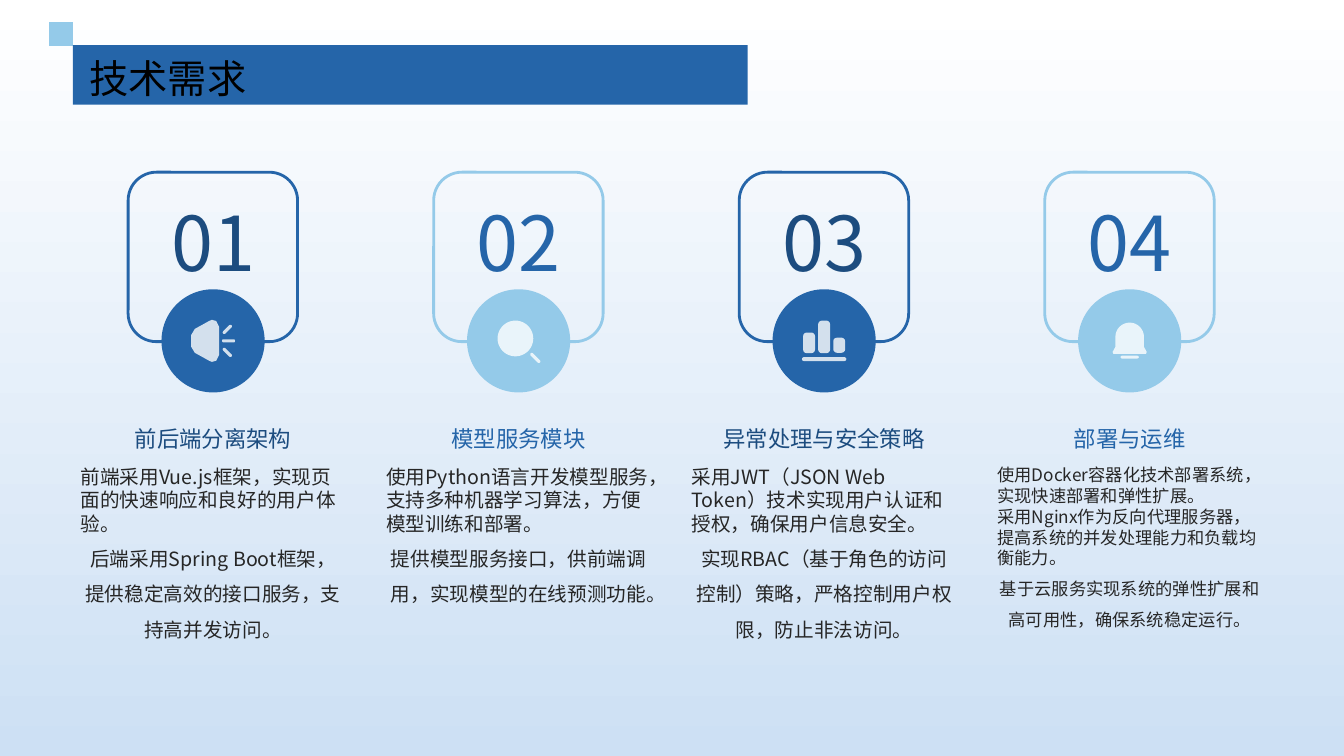
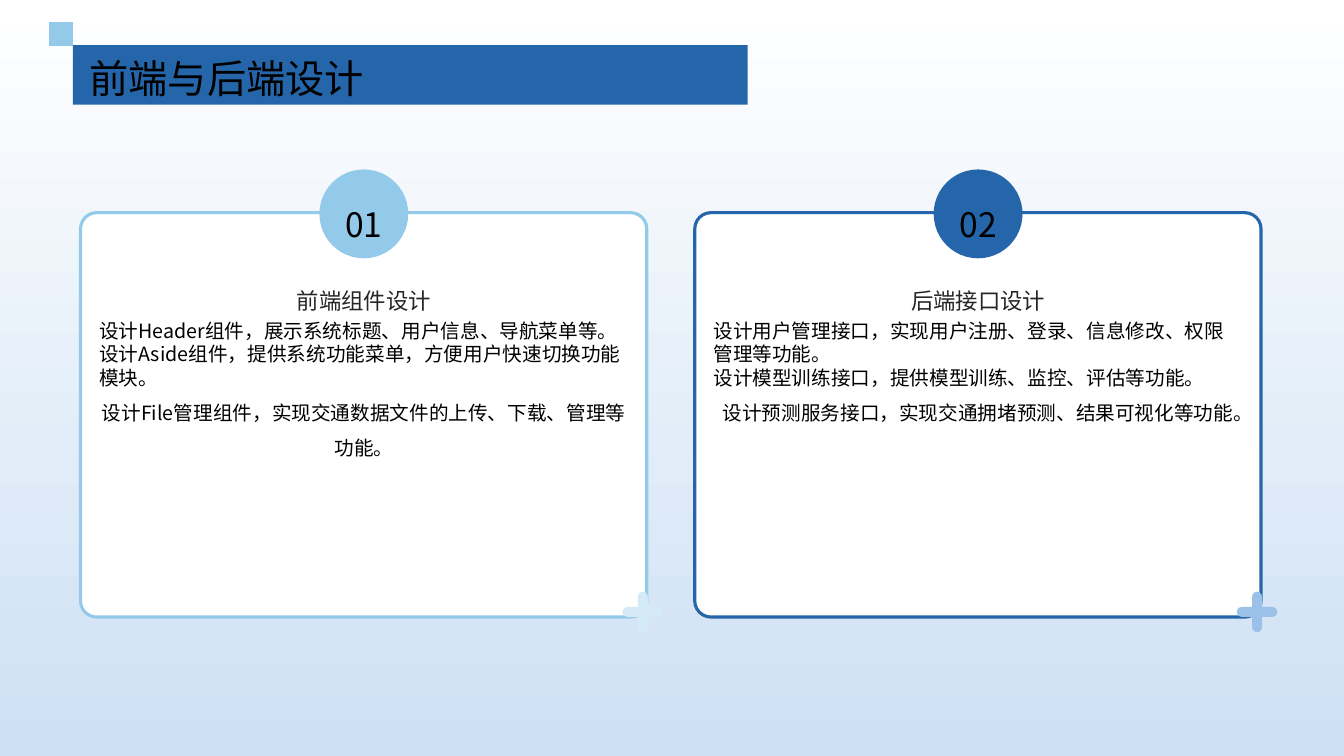
from dataclasses import dataclass
from math import cos, pi, sin

from lxml.etree import SubElement as Sub
from pptx import Presentation as Deck
from pptx.dml.color import RGBColor as Rgb
from pptx.enum.shapes import MSO_SHAPE as Kind
from pptx.enum.text import MSO_ANCHOR as Anchor, MSO_AUTO_SIZE as Fit, PP_ALIGN as Align
from pptx.oxml.ns import qn
from pptx.util import Cm, Pt


@dataclass(frozen=True)
class Theme:
    font: str = "Noto Sans CJK SC"
    lead: float = 1.2
    blue: str = "2565A9"
    sky: str = "94CAE9"
    navy: str = "1C4C7F"
    mist: str = "9BC1E9"
    ice: str = "D4EAF6"
    pale: str = "CDE0F4"
    white: str = "FFFFFF"
    black: str = "000000"
    ink: str = "262626"
    title: float = 28
    huge: float = 54
    mark: float = 24
    head: float = 16
    body: float = 14
    small: float = 12.3


class Page:
    """Holds the theme and the current slide, and draws elements on it."""

    def __init__(self, deck, theme):
        self.deck, self.look = deck, theme
        fill = deck.slide_master.background.fill
        fill.gradient()
        fill.gradient_angle = 270
        for stop, tone in zip(fill.gradient_stops, (theme.white, theme.pale)):
            stop.color.rgb = Rgb.from_string(tone)

    def start(self, title):
        look = self.look
        self.slide = self.deck.slides.add_slide(self.deck.slide_layouts[4])
        self.free = list(self.slide.placeholders)
        self.shape(Kind.RECTANGLE, 1.24, 0.56, 0.6, 0.6, look.sky)
        self.shape(Kind.RECTANGLE, 1.84, 1.14, 17, 1.5, look.blue)
        box = self.hold(2.26, 1.25, 29.72, 1.3)
        self.label(box, [title], look.title, look.black, 1.1, Align.LEFT, Anchor.MIDDLE)

    def hold(self, x, y, w, h):
        box = self.free.pop(0)
        box.left, box.top, box.width, box.height = map(Cm, (x, y, w, h))
        box.element.getparent().append(box.element)
        return box

    def box(self, x, y, w, h):
        return self.slide.shapes.add_textbox(*map(Cm, (x, y, w, h)))

    def paint(self, item, fill=None, line=None, width=2, alpha=None):
        item.shadow.inherit = False
        if line:
            item.line.color.rgb = Rgb.from_string(line)
            item.line.width = Pt(width)
        else:
            item.line.fill.background()
        if fill:
            item.fill.solid()
            item.fill.fore_color.rgb = Rgb.from_string(fill)
        else:
            item.fill.background()
        if alpha:
            tone = item.element.spPr.find(qn("a:solidFill"))[0]
            Sub(tone, qn("a:alpha"), val=str(alpha * 1000))

    def shape(self, kind, x, y, w, h, fill=None, line=None, width=2, alpha=None, adj=None, turn=0):
        item = self.slide.shapes.add_shape(kind, *map(Cm, (x, y, w, h)))
        if adj is not None:
            item.adjustments[0] = adj
        item.rotation = turn
        self.paint(item, fill, line, width, alpha)
        return item

    def bar(self, x, y, w, h, fill, alpha=None, adj=0.5, turn=0):
        return self.shape(Kind.ROUNDED_RECTANGLE, x - w / 2, y - h / 2, w, h,
                          fill, alpha=alpha, adj=adj, turn=turn)

    def icon(self, x, y, edge, bars):
        tone = self.look.white
        if edge:
            dots = [(Cm(x + a), Cm(y + b)) for a, b in edge]
            pen = self.slide.shapes.build_freeform(*dots[0])
            pen.add_line_segments(dots[1:])
            self.paint(pen.convert_to_shape(), tone, alpha=80)
        for a, b, w, h, adj, turn in bars:
            self.bar(x + a, y + b, w, h, tone, 80, adj, turn)

    def plus(self, x, y, tone):
        for w, h in ((1.02, 0.25), (0.25, 1.02)):
            self.bar(x, y, w, h, tone)

    def label(self, box, lines, size, tone, space, align=Align.CENTER, anchor=Anchor.TOP):
        frame = box.text_frame
        frame.text = "\n".join(lines)
        frame.word_wrap = True
        frame.auto_size = Fit.NONE
        frame.vertical_anchor = anchor
        frame.margin_left = frame.margin_top = frame.margin_right = frame.margin_bottom = 0
        for para in frame.paragraphs:
            prop = para._p.get_or_add_pPr()
            prop.set("marL", "0")
            prop.set("indent", "0")
            Sub(prop, qn("a:buNone"))
            para.alignment = align
            para.space_before = para.space_after = Pt(0)
            para.line_spacing = Pt(round(size * self.look.lead * space, 1))
            font = para.font
            font.name, font.size, font.bold = self.look.font, Pt(size), False
            font.color.rgb = Rgb.from_string(tone)
            Sub(prop.find(qn("a:defRPr")), qn("a:ea"), typeface=self.look.font)

    def prose(self, box, lines, size, tone):
        self.label(box, lines, size, tone, 1.5)
        for para in box.text_frame.paragraphs[:-1]:
            para.alignment = Align.LEFT
            para.line_spacing = Pt(round(size * self.look.lead, 1))


HORN = [(-0.03, -0.53), (0.08, -0.5), (0.15, -0.36), (0.15, 0.36), (0.08, 0.5), (-0.03, 0.53),
        (-0.1, 0.5), (-0.46, 0.3), (-0.55, 0.15), (-0.55, -0.15), (-0.46, -0.3), (-0.1, -0.5),
        (-0.03, -0.53)]
LENS = [(0.45 * cos(pi * k / 24) - 0.08, 0.45 * sin(pi * k / 24) - 0.06) for k in range(49)]
DOME = [(-0.36 * cos(pi * k / 16), -0.1 - 0.36 * sin(pi * k / 16)) for k in range(17)]
BELL = DOME + [(0.36, 0.15), (0.43, 0.28), (0.41, 0.33), (-0.41, 0.33), (-0.43, 0.28),
               (-0.36, 0.15), DOME[0]]
ICONS = [
    (HORN, [(0.39, 0, 0.33, 0.08, 0.5, 0), (0.36, -0.29, 0.3, 0.08, 0.5, -45),
            (0.36, 0.29, 0.3, 0.08, 0.5, 45)]),
    (LENS, [(0.42, 0.43, 0.33, 0.08, 0.5, 45)]),
    (None, [(0, 0.46, 1.12, 0.1, 0.5, 0), (-0.38, 0.05, 0.3, 0.52, 0.3, 0),
            (0, -0.1, 0.3, 0.82, 0.3, 0), (0.38, 0.11, 0.3, 0.38, 0.3, 0)]),
    (BELL, [(0, 0.41, 0.46, 0.07, 0.5, 0)]),
]
NEEDS = [
    ("前后端分离架构", ["前端采用Vue.js框架，实现页面的快速响应和良好的用户体验。",
                 "后端采用Spring Boot框架，提供稳定高效的接口服务，支持高并发访问。"]),
    ("模型服务模块", ["使用Python语言开发模型服务，支持多种机器学习算法，方便模型训练和部署。",
                "提供模型服务接口，供前端调用，实现模型的在线预测功能。"]),
    ("异常处理与安全策略", ["采用JWT（JSON Web Token）技术实现用户认证和授权，确保用户信息安全。",
                   "实现RBAC（基于角色的访问控制）策略，严格控制用户权限，防止非法访问。"]),
    ("部署与运维", ["使用Docker容器化技术部署系统，实现快速部署和弹性扩展。",
               "采用Nginx作为反向代理服务器，提高系统的并发处理能力和负载均衡能力。",
               "基于云服务实现系统的弹性扩展和高可用性，确保系统稳定运行。"]),
]
PARTS = [
    ("前端组件设计", ["设计Header组件，展示系统标题、用户信息、导航菜单等。",
                "设计Aside组件，提供系统功能菜单，方便用户快速切换功能模块。",
                "设计File管理组件，实现交通数据文件的上传、下载、管理等功能。"]),
    ("后端接口设计", ["设计用户管理接口，实现用户注册、登录、信息修改、权限管理等功能。",
                "设计模型训练接口，提供模型训练、监控、评估等功能。",
                "设计预测服务接口，实现交通拥堵预测、结果可视化等功能。"]),
]


def needs(page):
    look = page.look
    page.start("技术需求")
    for i, ((head, lines), icon) in enumerate(zip(NEEDS, ICONS)):
        x = 2.03 + 7.7 * i
        tone, dark = ((look.blue, look.navy), (look.sky, look.blue))[i % 2]
        page.shape(Kind.ROUNDED_RECTANGLE, x + 1.2, 4.34, 4.27, 4.27, line=tone)
        page.shape(Kind.OVAL, x + 2.04, 7.29, 2.6, 2.6, tone)
        page.label(page.box(x + 1.37, 4.47, 3.94, 3), [f"{i + 1:02}"],
                   look.huge, dark, 1.1, anchor=Anchor.MIDDLE)
        page.icon(x + 3.34, 8.59, *icon)
        size = look.small if len(lines) > 2 else look.body
        page.prose(page.hold(x, 11.71, 6.68, 5.66), lines, size, look.ink)
        page.label(page.box(x, 9.7, 6.68, 1.68), [head], look.head, dark, 1.3,
                   anchor=Anchor.BOTTOM)


def parts(page):
    look = page.look
    page.start("前端与后端设计")
    tones = ((look.sky, look.ice), (look.blue, look.mist))
    for i, ((head, lines), (tone, tint)) in enumerate(zip(PARTS, tones)):
        x = 2.03 + 15.48 * i
        page.shape(Kind.ROUNDED_RECTANGLE, x, 5.36, 14.27, 10.19, look.white, tone, 2.25, adj=0.04)
        disc = page.shape(Kind.OVAL, x + 6.02, 4.27, 2.24, 2.24, tone)
        page.label(disc, [f"{i + 1:02}"], look.mark, look.black, 1.5, anchor=Anchor.MIDDLE)
        page.plus(x + 14.17, 15.42, tint)
        page.label(page.hold(x + 0.47, 6.73, 13.34, 1.19), [head], look.head, look.ink, 1.5,
                   anchor=Anchor.BOTTOM)
        page.prose(page.hold(x + 0.47, 8.03, 13.34, 6.73), lines, look.body, look.black)


def main():
    deck = Deck()
    deck.slide_width, deck.slide_height = Cm(33.87), Cm(19.05)
    page = Page(deck, Theme())
    needs(page)
    parts(page)
    deck.save("out.pptx")


if __name__ == "__main__":
    main()
